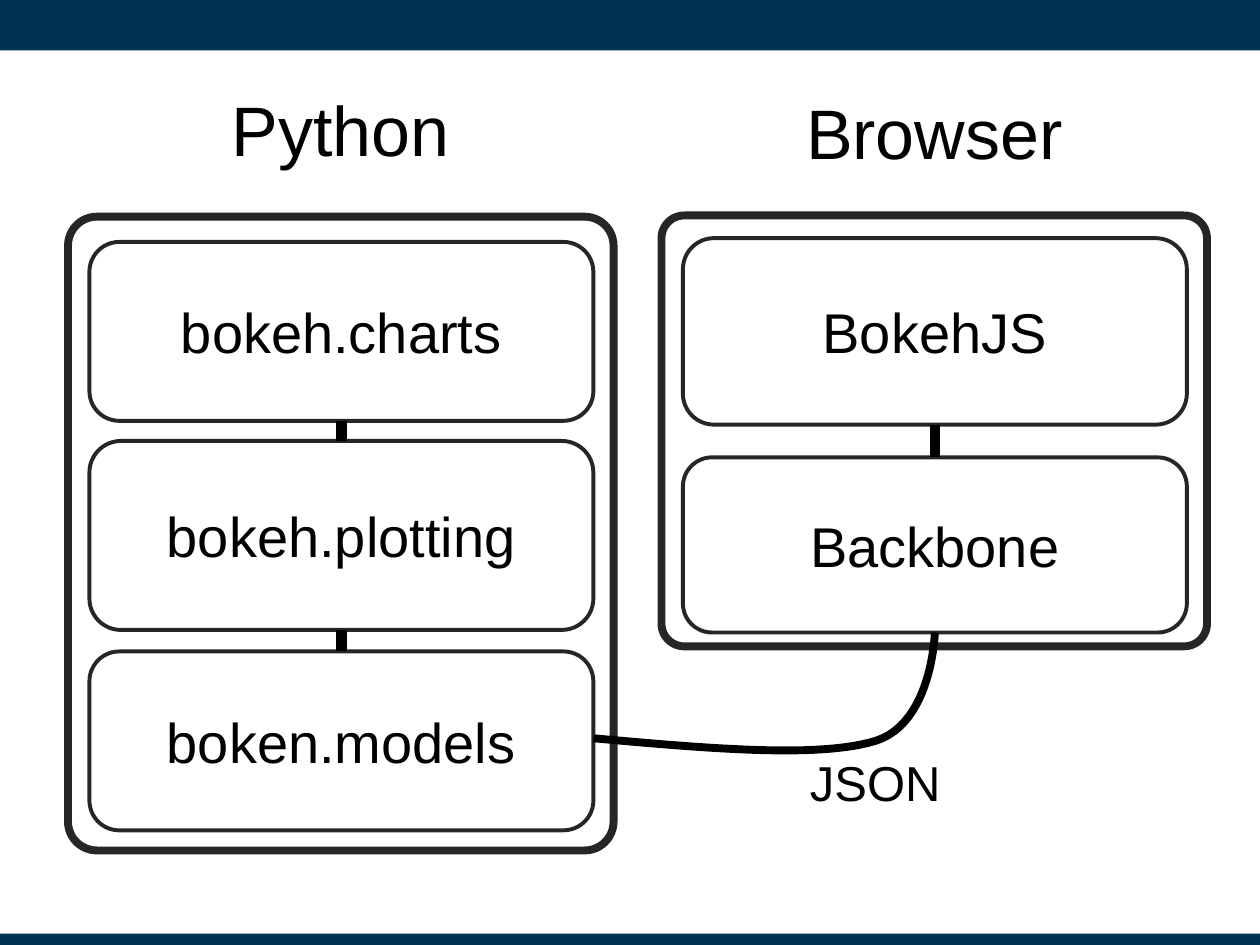
from itertools import pairwise

from lxml import etree
from pptx import Presentation
from pptx.dml.color import RGBColor
from pptx.enum.shapes import MSO_CONNECTOR, MSO_SHAPE
from pptx.enum.text import MSO_ANCHOR, MSO_AUTO_SIZE, PP_ALIGN
from pptx.oxml.ns import qn
from pptx.util import Inches, Pt

RECTANGLE = MSO_SHAPE.RECTANGLE
ROUNDED = MSO_SHAPE.ROUNDED_RECTANGLE
STRAIGHT = MSO_CONNECTOR.STRAIGHT
MIDDLE = MSO_ANCHOR.MIDDLE
GROW = MSO_AUTO_SIZE.SHAPE_TO_FIT_TEXT
CENTER, LEFT = PP_ALIGN.CENTER, PP_ALIGN.LEFT

COLORS = {"band": "003252", "outline": "262626", "ink": "000000"}
FONT = "Arial"

BANDS = [(0, 0.4), (7.41, 0.1)]  # top, height
FRAME_WIDTH, BOX_WIDTH = 4.33, 4
BOX_INSET = 0.17

# Frames are left, top, height; layers are name, top, height.
STACKS = [
    {
        "frame": (0.54, 1.72, 5.03),
        "layers": [
            ("bokeh.charts", 1.92, 1.42),
            ("bokeh.plotting", 3.5, 1.5),
            ("boken.models", 5.17, 1.42),
        ],
    },
    {
        "frame": (5.25, 1.71, 3.42),
        "layers": [("BokehJS", 1.89, 1.48), ("Backbone", 3.63, 1.39)],
    },
]

# Text, left, top, width, height, size, alignment
LABELS = [
    ("Python", 1.08, 0.64, 3.25, 0.77, 40, CENTER),
    ("Browser", 5.79, 0.66, 3.25, 0.77, 40, CENTER),
    ("JSON", 6.33, 5.92, 2.71, 0.57, 28, LEFT),
]

# Two cubic curves from boken.models to Backbone
JSON_LINK = [
    [(4.71, 5.86), (5.61, 5.94), (6.5, 6.02), (6.95, 5.88)],
    [(6.95, 5.88), (7.4, 5.74), (7.42, 5.02), (7.42, 5.02)],
]
CURVE_STEPS = 24


def color(name):
    return RGBColor.from_string(COLORS[name])


def set_line(shape, name, width):
    shape.line.color.rgb = color(name)
    shape.line.width = Pt(width)


def write(shape, text, size, alignment):
    frame = shape.text_frame
    frame.word_wrap = True
    frame.text = text
    paragraph = frame.paragraphs[0]
    paragraph.alignment = alignment
    font = paragraph.runs[0].font
    font.name, font.size = FONT, Pt(size)
    font.color.rgb = color("ink")


def add_outline(shapes, left, top, width, height, line_width):
    shape = shapes.add_shape(
        ROUNDED, Inches(left), Inches(top), Inches(width), Inches(height))
    shape.shadow.inherit = False
    shape.fill.background()
    set_line(shape, "outline", line_width)
    return shape


def add_stack(slide, stack):
    """Draw a frame with its layers, joined by a short line in each gap."""
    shapes = slide.shapes.add_group_shape().shapes
    left, top, height = stack["frame"]
    frame = add_outline(shapes, left, top, FRAME_WIDTH, height, 4.5)
    frame.adjustments[0] = 0.053

    box_left = left + BOX_INSET
    for name, box_top, box_height in stack["layers"]:
        box = add_outline(shapes, box_left, box_top, BOX_WIDTH, box_height, 2.25)
        write(box, name, 32, CENTER)
        box.text_frame.vertical_anchor = MIDDLE

    middle = Inches(box_left + BOX_WIDTH / 2)
    for (_, upper_top, upper_height), (_, lower_top, _) in pairwise(stack["layers"]):
        joint = shapes.add_connector(
            STRAIGHT, middle, Inches(upper_top + upper_height),
            middle, Inches(lower_top))
        set_line(joint, "ink", 6)
        etree.SubElement(joint._element.spPr, qn("a:effectLst"))


def curve_point(controls, t):
    weights = ((1 - t) ** 3, 3 * t * (1 - t) ** 2, 3 * t ** 2 * (1 - t), t ** 3)
    return tuple(
        Inches(sum(weight * value for weight, value in zip(weights, axis)))
        for axis in zip(*controls))


def add_json_link(slide):
    points = [curve_point(controls, step / CURVE_STEPS)
              for controls in JSON_LINK for step in range(1, CURVE_STEPS + 1)]
    start = curve_point(JSON_LINK[0], 0)
    builder = slide.shapes.build_freeform(*start)
    builder.add_line_segments(points, close=False)
    link = builder.convert_to_shape()
    link.shadow.inherit = False
    link.fill.background()
    set_line(link, "ink", 4.5)


def main():
    presentation = Presentation()
    presentation.slide_width, presentation.slide_height = Inches(10), Inches(7.5)
    slide = presentation.slides.add_slide(presentation.slide_layouts[6])

    for top, height in BANDS:
        band = slide.shapes.add_shape(
            RECTANGLE, 0, Inches(top), presentation.slide_width, Inches(height))
        band.shadow.inherit = False
        band.fill.solid()
        band.fill.fore_color.rgb = color("band")
        band.line.fill.background()

    for stack in STACKS:
        add_stack(slide, stack)
    add_json_link(slide)

    for text, left, top, width, height, size, alignment in LABELS:
        label = slide.shapes.add_textbox(
            Inches(left), Inches(top), Inches(width), Inches(height))
        write(label, text, size, alignment)
        label.text_frame.auto_size = GROW

    presentation.save("out.pptx")


if __name__ == "__main__":
    main()
